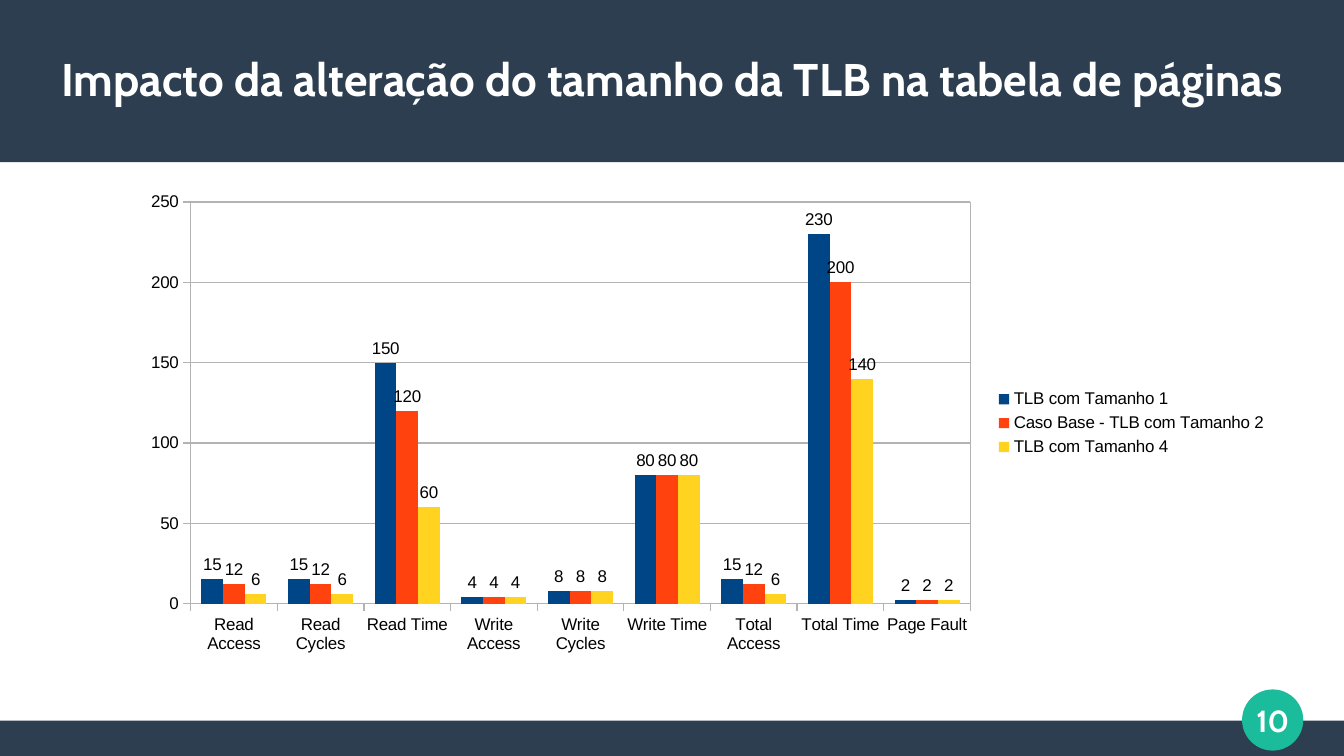
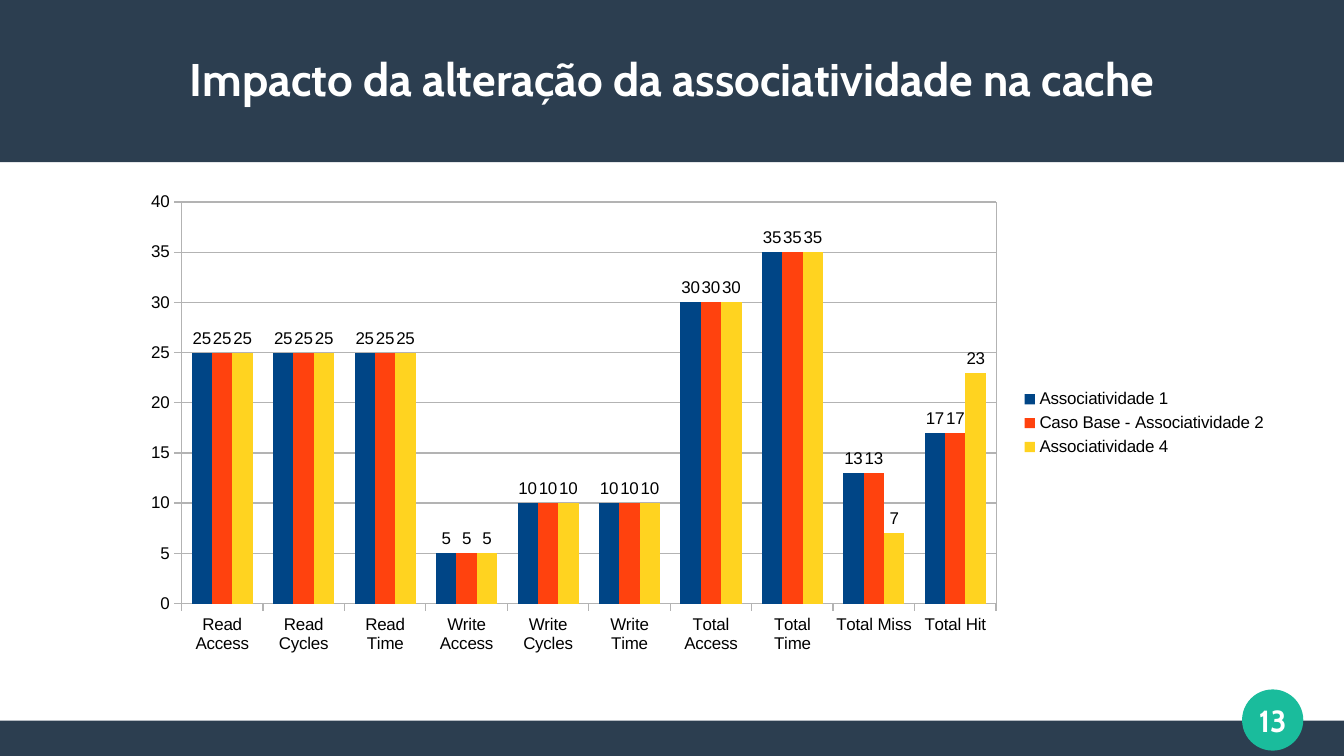
from lxml import etree
from pptx import Presentation, util as u
from pptx.chart.data import CategoryChartData
from pptx.dml.color import RGBColor
from pptx.enum import chart as ch, shapes, text
from pptx.oxml import parse_xml
from pptx.oxml.ns import nsdecls, qn

INK = {"band": "2C3E50", "badge": "1ABC9C", "white": "FFFFFF",
       "black": "000000", "grid": "B3B3B3"}
BARS = ["004586", "FF420E", "FFD320"]
WIDE, HIGH = 11.02, 6.2


def paint(part, key):
    part.fill.solid()
    part.fill.fore_color.rgb = RGBColor.from_string(INK[key])


def label(slide, box, words, size):
    frame = slide.shapes.add_textbox(*map(u.Inches, box)).text_frame
    frame.word_wrap = True
    frame.vertical_anchor = text.MSO_ANCHOR.MIDDLE
    frame.margin_left = frame.margin_right = 0
    frame.margin_top = frame.margin_bottom = 0
    para = frame.paragraphs[0]
    para.text = words
    para.alignment = text.PP_ALIGN.CENTER
    para.font.name, para.font.size, para.font.bold = "Cabin", u.Pt(size), True
    para.font.color.rgb = RGBColor.from_string(INK["white"])


# Content: title, page number, categories, series
steps = ["Read Access", "Read Cycles", "Read Time", "Write Access",
         "Write Cycles", "Write Time", "Total Access", "Total Time"]
base = [25, 25, 25, 5, 10, 10, 30, 35]
pages = [
    ("Impacto da alteração do tamanho da TLB na tabela de páginas", "10",
     steps + ["Page Fault"],
     {"TLB com Tamanho 1": [15, 15, 150, 4, 8, 80, 15, 230, 2],
      "Caso Base - TLB com Tamanho 2": [12, 12, 120, 4, 8, 80, 12, 200, 2],
      "TLB com Tamanho 4": [6, 6, 60, 4, 8, 80, 6, 140, 2]}),
    ("Impacto da alteração da associatividade na cache", "13",
     steps + ["Total Miss", "Total Hit"],
     {"Associatividade 1": base + [13, 17],
      "Caso Base - Associatividade 2": base + [13, 17],
      "Associatividade 4": base + [7, 23]}),
]

# Bands and page badge, the same on every slide
frames = [
    (shapes.MSO_SHAPE.RECTANGLE, (0, 5.91, WIDE, 0.29), "band"),
    (shapes.MSO_SHAPE.RECTANGLE, (0, 0, WIDE, 1.33), "band"),
    (shapes.MSO_SHAPE.OVAL, (10.19, 5.66, 0.49, 0.49), "badge"),
]

deck = Presentation()
deck.slide_width, deck.slide_height = u.Inches(WIDE), u.Inches(HIGH)

for title, number, cats, rows in pages:
    slide = deck.slides.add_slide(deck.slide_layouts[6])
    paint(slide.background, "white")

    for kind, box, key in frames:
        shape = slide.shapes.add_shape(kind, *map(u.Inches, box))
        shape.shadow.inherit = False
        paint(shape, key)
        shape.line.fill.background()
        if key == "badge":
            shape.line.color.rgb = RGBColor.from_string(INK[key])
            shape.line.width = u.Pt(0.85)
    label(slide, (10.04, 5.61, 0.79, 0.59), number, 18)
    label(slide, (0.39, 0.25, 10.24, 0.79), title, 27)

    # Column chart
    data = CategoryChartData(number_format="General")
    data.categories = cats
    for name, vals in rows.items():
        data.add_series(name, vals)
    chart = slide.shapes.add_chart(
        ch.XL_CHART_TYPE.COLUMN_CLUSTERED,
        *map(u.Inches, (1.05, 1.5, 9.44, 3.94)), data).chart
    chart.has_title = False
    chart.font.name, chart.font.size = "Arial", u.Pt(10)
    chart.font.color.rgb = RGBColor.from_string(INK["black"])
    chart.has_legend = True
    chart.legend.position = ch.XL_LEGEND_POSITION.RIGHT
    chart.legend.include_in_layout = False

    # Bars and their values
    plot = chart.plots[0]
    plot.gap_width, plot.overlap = 100, 0
    plot.vary_by_categories = False
    for bars, color in zip(plot.series, BARS):
        bars.format.fill.solid()
        bars.format.fill.fore_color.rgb = RGBColor.from_string(color)
        bars.data_labels.show_value = True
        bars.data_labels.position = ch.XL_LABEL_POSITION.OUTSIDE_END

    # Axes, grid and plot border
    chart.value_axis.has_major_gridlines = True
    lines = [chart.value_axis.major_gridlines.format.line]
    for axis in (chart.category_axis, chart.value_axis):
        axis.major_tick_mark = ch.XL_TICK_MARK.OUTSIDE
        axis.minor_tick_mark = ch.XL_TICK_MARK.NONE
        axis.tick_labels.font.size = u.Pt(10)
        lines.append(axis.format.line)
    for line in lines:
        line.color.rgb = RGBColor.from_string(INK["grid"])
        line.width = u.Pt(0)
    for body in chart.category_axis._element.iter(qn("a:bodyPr")):
        body.set("rot", "0")
    area = chart._chartSpace.chart.plotArea
    border = parse_xml(f"<c:spPr {nsdecls('c', 'a')}><a:noFill/></c:spPr>")
    edge = etree.SubElement(border, qn("a:ln"), w="0")
    fill = etree.SubElement(edge, qn("a:solidFill"))
    etree.SubElement(fill, qn("a:srgbClr"), val=INK["grid"])
    area.append(border)

deck.save("out.pptx")
